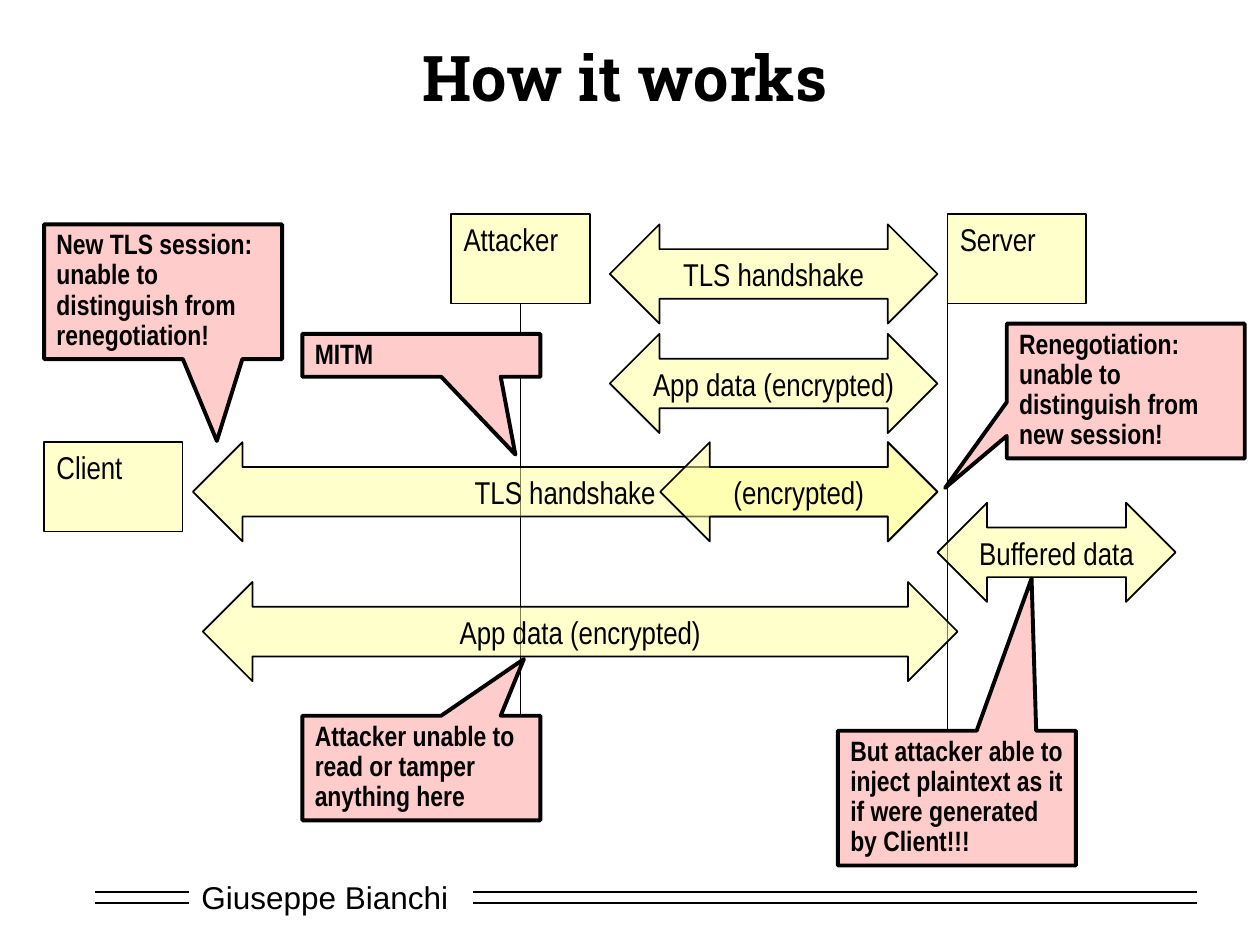
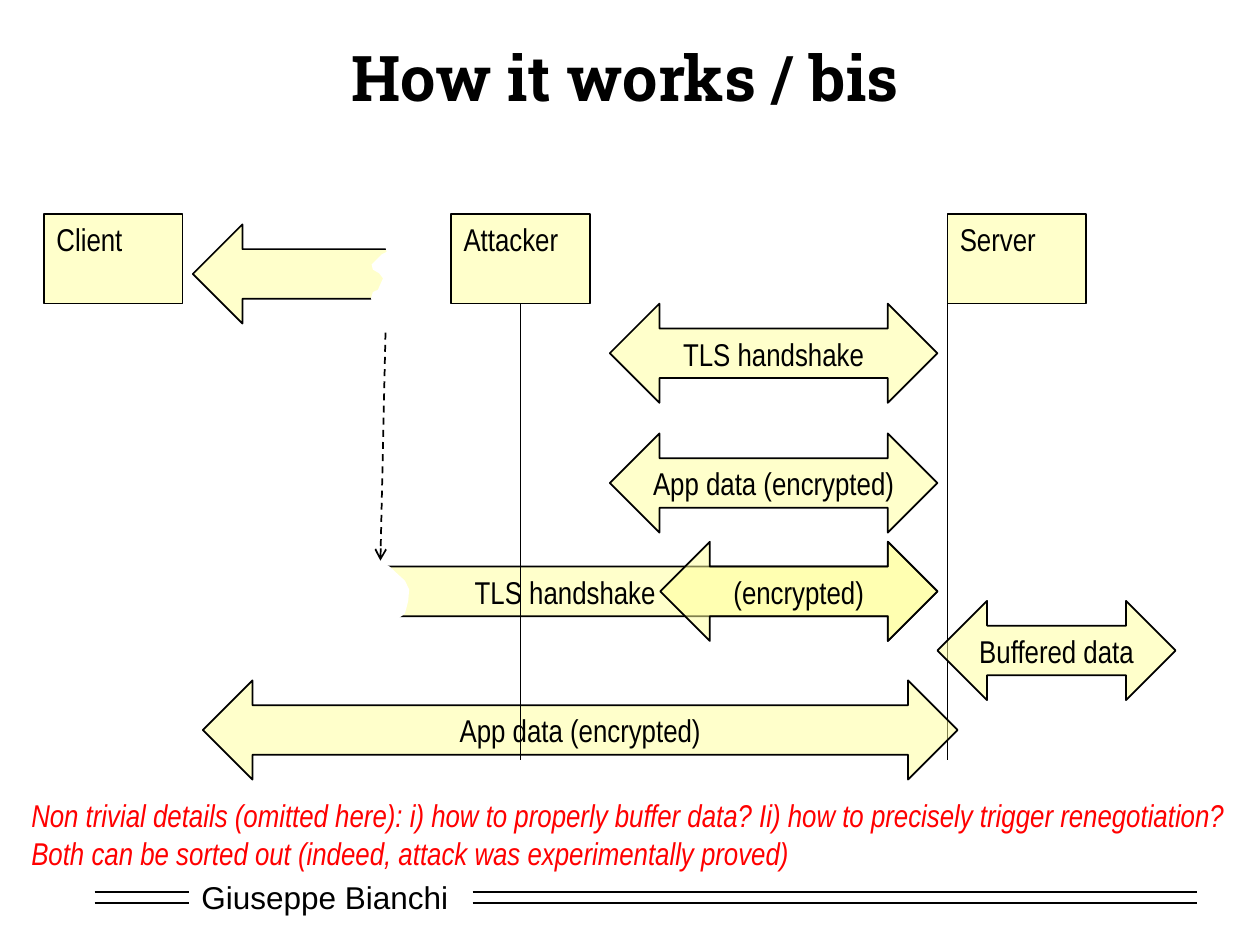
from lxml import etree
from pptx import Presentation
from pptx.dml.color import RGBColor
from pptx.enum.dml import MSO_LINE
from pptx.enum.shapes import MSO_CONNECTOR, MSO_SHAPE
from pptx.enum.text import MSO_ANCHOR, MSO_AUTO_SIZE, PP_ALIGN
from pptx.oxml.ns import qn
from pptx.util import Pt

RECT = MSO_SHAPE.RECTANGLE
ARROW = MSO_SHAPE.LEFT_RIGHT_ARROW
CALL = MSO_SHAPE.RECTANGULAR_CALLOUT
STRAIGHT = MSO_CONNECTOR.STRAIGHT
DASH = MSO_LINE.DASH
TOP, MIDDLE = MSO_ANCHOR.TOP, MSO_ANCHOR.MIDDLE
LEFT, CENTER = PP_ALIGN.LEFT, PP_ALIGN.CENTER
FIXED = MSO_AUTO_SIZE.NONE

BLACK = RGBColor(0, 0, 0)
WHITE = RGBColor(255, 255, 255)
RED = RGBColor(255, 0, 0)
YELLOW = RGBColor(255, 255, 153)
PINK = RGBColor(255, 204, 204)
LABEL = {"name": "Arial Narrow", "size": Pt(18)}

THEME = {
    "title": {"font": {"name": "Roboto Slab", "size": Pt(36), "bold": True},
              "ink": BLACK, "para": {"alignment": CENTER},
              "frame": {"vertical_anchor": MIDDLE, "auto_size": FIXED}},
    "foot": {"form": RECT, "fill": WHITE, "line": 0, "ink": BLACK,
             "font": {"name": "Arial", "size": Pt(18)},
             "para": {"alignment": LEFT}, "frame": {"vertical_anchor": MIDDLE}},
    "box": {"form": RECT, "fill": YELLOW, "alpha": 50, "line": 1, "ink": BLACK,
            "font": LABEL, "para": {"alignment": LEFT},
            "frame": {"vertical_anchor": TOP}},
    "arrow": {"form": ARROW, "fill": YELLOW, "alpha": 50, "line": 1, "ink": BLACK,
              "font": LABEL, "para": {"alignment": CENTER},
              "frame": {"vertical_anchor": TOP}},
    "call": {"form": CALL, "fill": PINK, "line": 2.25, "ink": BLACK,
             "font": {"name": "Arial Narrow", "size": Pt(16), "bold": True},
             "para": {"alignment": LEFT, "line_spacing": 0.9},
             "frame": {"vertical_anchor": TOP}},
    "note": {"font": LABEL | {"italic": True}, "ink": RED,
             "para": {"alignment": LEFT},
             "frame": {"vertical_anchor": TOP, "word_wrap": False}},
}


def write(shape, look, text):
    frame = shape.text_frame
    frame.text = text
    for key, value in look["frame"].items():
        setattr(frame, key, value)
    for para in frame.paragraphs:
        for key, value in look["para"].items():
            setattr(para, key, value)
        for run in para.runs:
            run.font.color.rgb = look["ink"]
            for key, value in look["font"].items():
                setattr(run.font, key, value)


def draw(slide, name, spot, text="", tip=()):
    if name == "line":
        line = slide.shapes.add_connector(STRAIGHT, *map(Pt, spot))
        line.line.color.rgb = BLACK
        line.line.width = Pt(1)
        etree.SubElement(line.element.spPr, qn("a:effectLst"))
        return line
    look = THEME[name]
    if name == "note":
        shape = slide.shapes.add_textbox(*map(Pt, spot))
    else:
        shape = slide.shapes.add_shape(look["form"], *map(Pt, spot))
        shape.shadow.inherit = False
        shape.fill.solid()
        shape.fill.fore_color.rgb = look["fill"]
        if "alpha" in look:
            tint = shape.element.spPr.find(".//" + qn("a:srgbClr"))
            etree.SubElement(tint, qn("a:alpha"), val=str(look["alpha"] * 1000))
        if look["line"]:
            shape.line.color.rgb = BLACK
            shape.line.width = Pt(look["line"])
        else:
            shape.line.fill.background()
        for i, value in enumerate(tip):
            shape.adjustments[i] = value
    if text:
        write(shape, look, text)
    return shape


BOX = (79.2, 51)
ROW = 122.4
HIGH = 56.7
WIDE = 136
FLOOR = 434.2
HOSTS = {"Client": 25.2, "Attacker": 257.8, "Server": 541.4}
FLOWS = {
    "shake": (348.5, 187.2, "TLS handshake"),
    "data": (348.5, 187.2, "App data (encrypted)"),
    "long": (110.2, 425.5, "TLS handshake"),
    "held": (535.7, 136.1, "Buffered data"),
    "far": (115.9, 431.3, "App data (encrypted)"),
    "stub": (110.2, 141.8, ""),
    "inner": (377.3, 158.4, "(encrypted)"),
}
TEAR = [
    (4.3, 77.7), (5, 70.5), (5.7, 65.5), (5, 61.9), (2.1, 59.7), (1, 56.1),
    (2.1, 52.5), (5, 51.1), (7.9, 44.6), (5.7, 41.7), (2.1, 39.6), (1.4, 36.7),
    (7.2, 30.9), (10, 29.5), (7.9, 21.6), (4.3, 15.8), (15.1, 7.9), (28.8, 1.4),
    (45.3, 0), (64.8, 1.4), (79.2, 13.7), (84.9, 19.4), (90, 24.5), (94.3, 28.1),
    (97.2, 31.7), (100.8, 36), (102.6, 41), (102.2, 47.5), (100.8, 54.7),
    (97.9, 57.6), (94.3, 65.5), (81.3, 75.6), (58.3, 82.1), (30.9, 78.5),
    (9.3, 75.6),
]

PAGES = [
    ("How it works", [
        ("host", "Attacker", ROW), ("host", "Server", ROW), ("host", "Client", 252.7),
        ("flow", "shake", 128.2), ("flow", "data", 190.8),
        ("drop", "Attacker"), ("drop", "Server"),
        ("flow", "long", 252.7), ("flow", "held", 287.3), ("flow", "far", 332.6),
        ("call", 25.2, 128.2, 77, (0.226, 1.108),
         "New TLS session: unable to distinguish from renegotiation!"),
        ("call", 172.8, 190.8, 24.5, (0.395, 2.316), "MITM"),
        ("call", 172.8, 409, 59.8, (0.431, -1.042),
         "Attacker unable to read or tamper anything here"),
        ("call", 478.8, 417.6, 77, (0.314, -1.63),
         "But attacker able to inject plaintext as it if were generated by Client!!!"),
        ("call", 575.3, 185, 77, (-0.759, 0.719),
         "Renegotiation: unable to distinguish from new session!"),
        ("flow", "inner", 252.7),
    ]),
    ("How it works / bis", [
        ("host", "Server", ROW), ("host", "Client", ROW),
        ("flow", "shake", 173.5), ("flow", "data", 247.7), ("drop", "Server"),
        ("flow", "long", 309.6), ("flow", "held", 343.4), ("flow", "far", 388.8),
        ("flow", "stub", 128.2), ("tear", 211, 114.5, 1),
        ("host", "Attacker", ROW), ("drop", "Attacker"),
        ("tear", 99.4, 295.9, 1.31), ("dash", 220.3, 190.1, 217.4, 320.4),
        ("note", "Non trivial details (omitted here): i) how to properly buffer data? "
                 "Ii) how to precisely trigger renegotiation?\n"
                 "Both can be sorted out (indeed, attack was experimentally proved)"),
        ("flow", "inner", 309.6),
    ]),
]

deck = Presentation()
deck.slide_width, deck.slide_height = Pt(720), Pt(540)
layout = deck.slide_layouts[5]
for hold in list(layout.placeholders):
    if hold.placeholder_format.idx >= 10:
        hold.element.getparent().remove(hold.element)
slides = [deck.slides.add_slide(layout) for page in PAGES]

band = [draw(slides[0], "foot", (108, 498.2, 156.2, 28.8), "Giuseppe Bianchi")]
for y in (509.8, 516.2):
    for start, end in ((54, 108), (270, 684)):
        band.append(draw(slides[0], "line", (start, y, end, y)))
for part in band:
    layout.shapes.element.append(part.element)

for slide, (head, rows) in zip(slides, PAGES):
    title = slide.shapes.title
    title.left, title.top, title.width, title.height = map(Pt, (54, 18, 606.2, 51))
    write(title, THEME["title"], head)
    hosts = {}
    for kind, *row in rows:
        if kind == "host":
            name, y = row
            hosts[name] = draw(slide, "box", (HOSTS[name], y, *BOX), name)
        elif kind == "flow":
            x, wide, text = FLOWS[row[0]]
            draw(slide, "arrow", (x, row[1], wide, HIGH), text)
        elif kind == "drop":
            x = HOSTS[row[0]] + (BOX[0] / 2 if row[0] == "Attacker" else 0)
            line = draw(slide, "line", (x, ROW + BOX[1], x, FLOOR))
            if row[0] == "Attacker":
                line.begin_connect(hosts["Attacker"], 2)
        elif kind == "call":
            x, y, high, tip, text = row
            draw(slide, "call", (x, y, WIDE, high), text, tip)
        elif kind == "tear":
            x, y, zoom = row
            dots = [(Pt(x + a * zoom), Pt(y + b)) for a, b in TEAR]
            pen = slide.shapes.build_freeform(*dots[0])
            pen.add_line_segments(dots[1:])
            patch = pen.convert_to_shape()
            patch.shadow.inherit = False
            patch.fill.solid()
            patch.fill.fore_color.rgb = WHITE
            patch.line.fill.background()
        elif kind == "dash":
            line = draw(slide, "line", row)
            line.line.dash_style = DASH
            etree.SubElement(line.line._get_or_add_ln(), qn("a:tailEnd"), type="arrow")
        else:
            draw(slide, "note", (10.8, 451.4, 700.6, 51), row[0])

deck.save("out.pptx")
